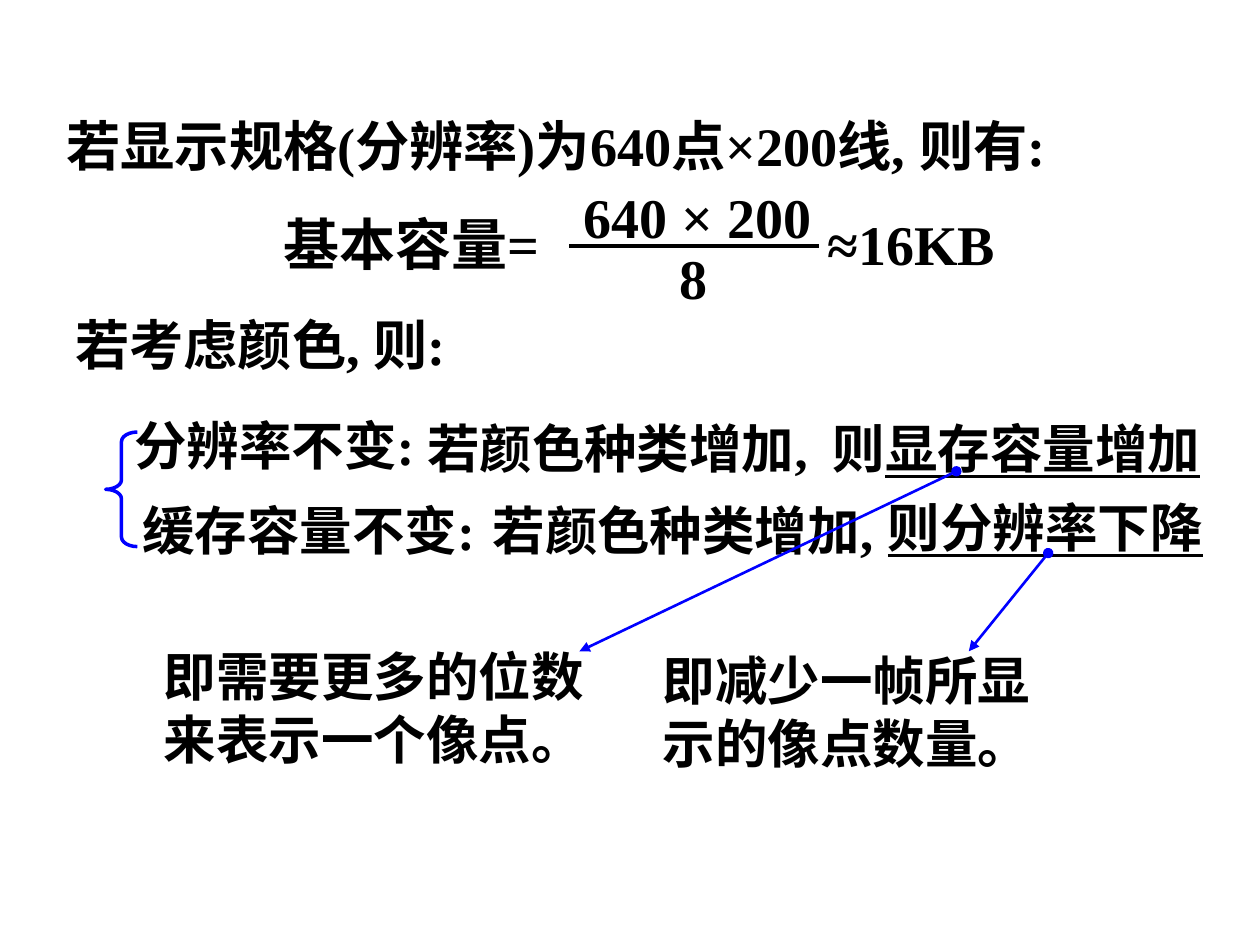
"""Build a slide on display memory capacity, resolution and colour count."""
from dataclasses import dataclass

from lxml.etree import SubElement
from pptx import Presentation
from pptx.dml.color import RGBColor
from pptx.enum.shapes import MSO_CONNECTOR, MSO_SHAPE
from pptx.enum.text import MSO_AUTO_SIZE
from pptx.oxml.ns import qn
from pptx.util import Cm, Pt


@dataclass(frozen=True)
class Theme:
    ink: RGBColor = RGBColor(0, 0, 0)
    accent: RGBColor = RGBColor(0, 0, 255)
    font: str = "Times New Roman"
    formula: int = 32
    heading: int = 31
    body: int = 30


theme = Theme()


def add_text(shapes, place, size, plain, underlined=""):
    box = shapes.add_textbox(*map(Cm, place))
    frame_format = {"word_wrap": True, "auto_size": MSO_AUTO_SIZE.SHAPE_TO_FIT_TEXT}
    for name, value in frame_format.items():
        setattr(box.text_frame, name, value)
    para = box.text_frame.paragraphs[0]
    for text, underline in ((plain, None), (underlined, True)):
        if text:
            span = para.add_run()
            span.text = text
            span.font.color.rgb = theme.ink
            span_format = {"name": theme.font, "size": Pt(size), "bold": True, "underline": underline}
            for name, value in span_format.items():
                setattr(span.font, name, value)


def add_line(shapes, ends, color, width, arrow=False):
    line = shapes.add_connector(MSO_CONNECTOR.STRAIGHT, *map(Cm, ends))
    line.line.color.rgb = color
    line.line.width = Pt(width)
    if arrow:
        outline = line.line._get_or_add_ln()
        for tag, kind in (("a:headEnd", "oval"), ("a:tailEnd", "triangle")):
            SubElement(outline, qn(tag), type=kind)
    SubElement(line._element.spPr, qn("a:effectLst"))


deck = Presentation()
deck.slide_width, deck.slide_height = Cm(25.4), Cm(19.05)
page = deck.slides.add_slide(deck.slide_layouts[6])

for place, size, text in (
    ((1.09, 2.13, 23.3, 1.57), theme.heading, "若显示规格(分辨率)为640点×200线, 则有:"),
    ((5.46, 4.09, 6.45, 1.63), theme.formula, "基本容量="),
    ((16.43, 4.09, 5.33, 1.63), theme.formula, "≈16KB"),
    ((1.27, 6.15, 11.4, 1.57), theme.heading, "若考虑颜色, 则:"),
):
    add_text(page.shapes, place, size, text)

fraction = page.shapes.add_group_shape()
add_text(fraction.shapes, (13.44, 4.78, 2.11, 1.63), theme.formula, "8")
add_text(fraction.shapes, (11.51, 3.56, 5.49, 1.63), theme.formula, "640 × 200")
add_line(fraction.shapes, (11.48, 4.95, 16.51, 4.95), theme.ink, 2.25)

brace = page.shapes.add_shape(MSO_SHAPE.LEFT_BRACE, Cm(2.13), Cm(8.71), Cm(0.64), Cm(2.31))
brace.shadow.inherit = False
brace.fill.background()
brace.line.color.rgb = theme.accent
brace.line.width = Pt(2)
brace.adjustments[0] = 0.3

for place, *texts in (
    ((2.46, 8.2, 7.44, 1.52), "分辨率不变:"),
    ((8.36, 8.26, 8.81, 1.52), "若颜色种类增加,"),
    ((16.54, 8.26, 8.86, 1.52), "则", "显存容量增加"),
    ((2.62, 9.91, 8.69, 1.52), "缓存容量不变:"),
    ((17.65, 9.86, 7.75, 1.52), "", "则分辨率下降"),
    ((9.68, 9.91, 8.81, 1.52), "若颜色种类增加,"),
    ((3.05, 12.85, 9.55, 2.79), "即需要更多的位数来表示一个像点。"),
    ((13.11, 12.93, 8.36, 2.79), "即减少一帧所显示的像点数量。"),
):
    add_text(page.shapes, place, theme.body, *texts)

for ends in ((19.28, 9.5, 11.68, 13.13), (21.13, 11.15, 19.53, 13.13)):
    add_line(page.shapes, ends, theme.accent, 1.5, arrow=True)

deck.save("out.pptx")
